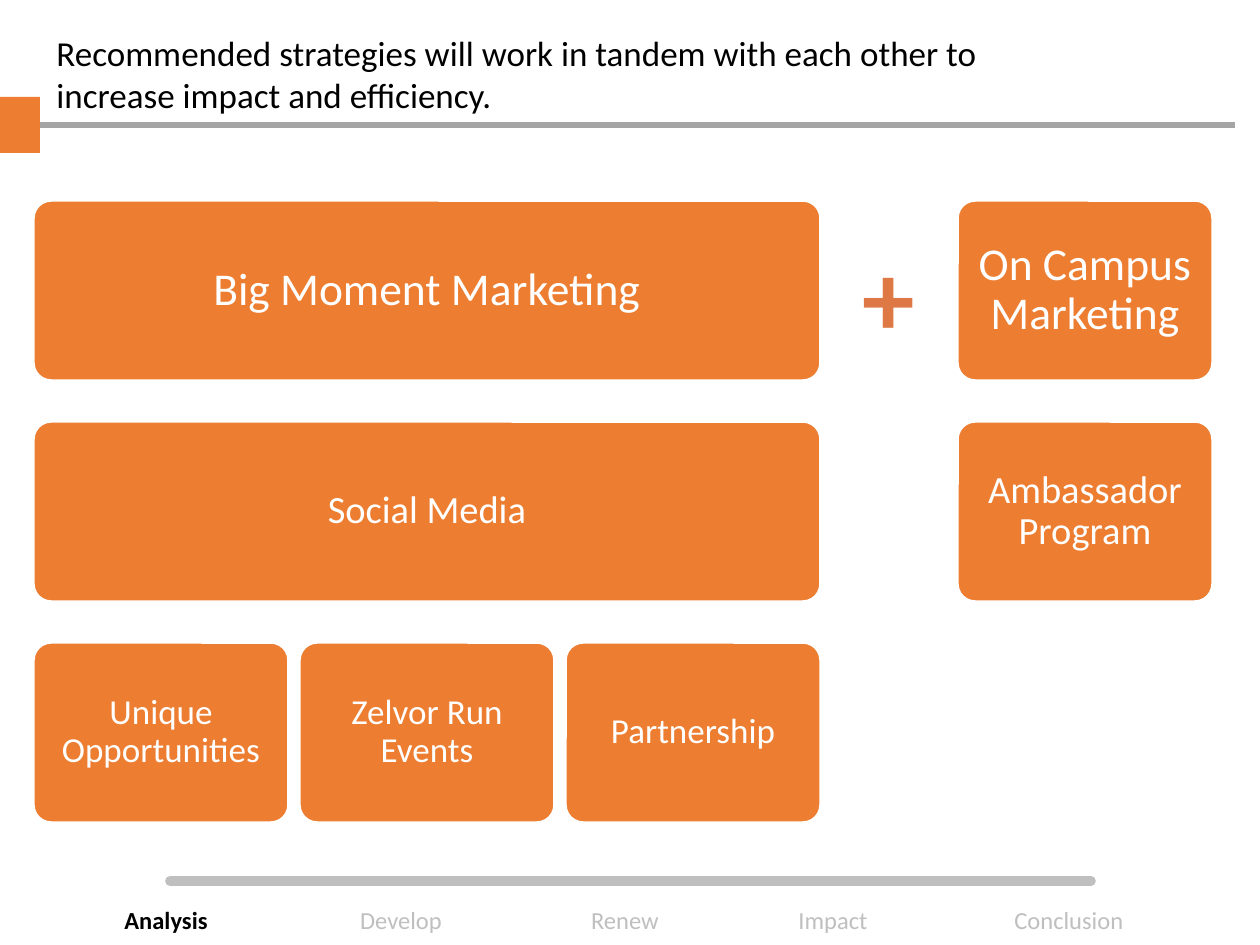
from pptx import Presentation
from pptx.dml.color import RGBColor
from pptx.enum.shapes import MSO_CONNECTOR, MSO_SHAPE
from pptx.enum.text import MSO_ANCHOR, PP_ALIGN
from pptx.oxml.ns import qn
from pptx.util import Emu, Pt

ORANGE = RGBColor(0xED, 0x7D, 0x31)
PLUS_ORANGE = RGBColor(0xDE, 0x79, 0x46)
SILVER = RGBColor(0xBF, 0xBF, 0xBF)
GRAY = RGBColor(0xA5, 0xA5, 0xA5)
BLACK = RGBColor(0, 0, 0)
WHITE = RGBColor(0xFF, 0xFF, 0xFF)

FONT = "Calibri"
GRID_LEFT, GRID_TOP = 33, 200
CARD_WIDTH, CARD_HEIGHT = 256, 181
COLUMN_STEP, ROW_STEP = 266, 221
CAMPUS_LEFT = 957

# Row, first column, columns spanned, text, size
STRATEGIES = [
    (0, 0, 3, "Big Moment Marketing", 26),
    (1, 0, 3, "Social Media", 22),
    (2, 0, 1, "Unique Opportunities", 20),
    (2, 1, 1, "Zelvor Run Events", 20),
    (2, 2, 1, "Partnership", 20),
]
CAMPUS = [(0, "On Campus Marketing", 26), (1, "Ambassador Program", 22)]

# Left, width, text, alignment
STAGES = [
    (112, 123, "Analysis", PP_ALIGN.LEFT),
    (340, 122, "Develop", PP_ALIGN.CENTER),
    (576, 98, "Renew", PP_ALIGN.CENTER),
    (786, 110, "Impact", PP_ALIGN.LEFT),
    (1002, 146, "Conclusion", PP_ALIGN.LEFT),
]
CURRENT_STAGE = "Analysis"


def px(length):
    return Emu(round(length * 914400 / 126))


def write(shape, text, size, color, bold=False, align=PP_ALIGN.LEFT,
          anchor=MSO_ANCHOR.TOP):
    frame = shape.text_frame
    frame.word_wrap = True
    frame.vertical_anchor = anchor
    para = frame.paragraphs[0]
    para.alignment = align
    span = para.add_run()
    span.text = text
    span.font.name = FONT
    span.font.size = Pt(size)
    span.font.bold = bold
    span.font.color.rgb = color
    return para


def add_label(page, left, top, width, height, text, size, color, **style):
    box = page.shapes.add_textbox(px(left), px(top), px(width), px(height))
    write(box, text, size, color, **style)


def add_block(page, kind, left, top, width, height):
    block = page.shapes.add_shape(kind, px(left), px(top), px(width), px(height))
    block.shadow.inherit = False
    block.fill.solid()
    block.fill.fore_color.rgb = ORANGE
    block.line.fill.background()
    return block


def add_card(page, left, row, width, text, size):
    card = add_block(page, MSO_SHAPE.ROUNDED_RECTANGLE, left,
                     GRID_TOP + row * ROW_STEP, width, CARD_HEIGHT)
    card.adjustments[0] = 0.1
    card.line.color.rgb = WHITE
    card.line.width = Pt(2)
    frame = card.text_frame
    frame.margin_left = frame.margin_right = px(16)
    frame.margin_top = frame.margin_bottom = px(16)
    para = write(card, text, size, WHITE, align=PP_ALIGN.CENTER,
                 anchor=MSO_ANCHOR.MIDDLE)
    para.line_spacing = 0.9


def add_rule(page, left, right, y, color, weight):
    rule = page.shapes.add_connector(MSO_CONNECTOR.STRAIGHT, px(left), px(y),
                                     px(right), px(y))
    rule.line.color.rgb = color
    rule.line.width = Pt(weight)
    properties = rule._element.spPr
    properties.append(properties.makeelement(qn("a:effectLst"), {}))
    return rule


def add_header(page):
    marker = add_block(page, MSO_SHAPE.RECTANGLE, 0, 97, 40, 56)
    rule = add_rule(page, 40, 1235, 125, GRAY, 3)
    rule.begin_connect(marker, 3)
    add_label(page, 44, 25, 977, 43,
              "Recommended strategies will work in tandem with each other to "
              "increase impact and efficiency.", 20, BLACK)


def add_stage_bar(page):
    bar = add_rule(page, 170, 1091, 881, SILVER, 5.5)
    bar.line._get_or_add_ln().set("cap", "rnd")
    for left, width, text, align in STAGES:
        current = text == CURRENT_STAGE
        add_label(page, left, 899, width, 43, text, 14,
                  BLACK if current else SILVER, bold=current, align=align)


def add_strategies(page):
    for row, column, columns, text, size in STRATEGIES:
        width = CARD_WIDTH + (columns - 1) * COLUMN_STEP
        add_card(page, GRID_LEFT + column * COLUMN_STEP, row, width, text, size)
    for row, text, size in CAMPUS:
        add_card(page, CAMPUS_LEFT, row, CARD_WIDTH, text, size)
    add_label(page, 836, 201, 106, 188, "+", 60, PLUS_ORANGE, bold=True,
              align=PP_ALIGN.CENTER, anchor=MSO_ANCHOR.MIDDLE)


def main():
    deck = Presentation()
    deck.slide_width, deck.slide_height = px(1260), px(945)
    page = deck.slides.add_slide(deck.slide_layouts[6])
    add_stage_bar(page)
    add_header(page)
    add_strategies(page)
    deck.save("out.pptx")


if __name__ == "__main__":
    main()
